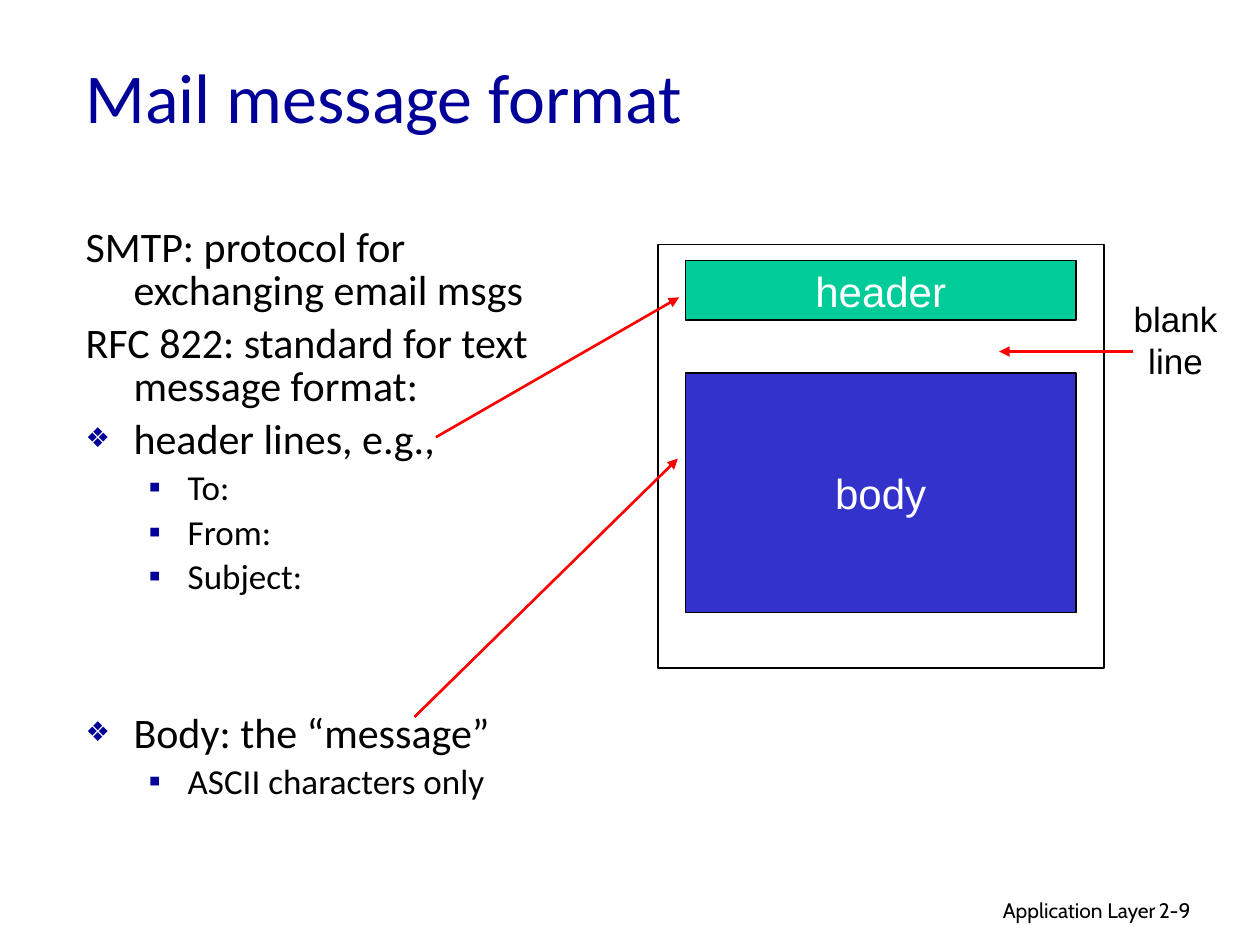
from dataclasses import dataclass

from lxml import etree
from pptx import Presentation
from pptx.dml.color import RGBColor
from pptx.enum.shapes import MSO_CONNECTOR, MSO_SHAPE
from pptx.enum.text import MSO_ANCHOR, MSO_AUTO_SIZE, PP_ALIGN
from pptx.oxml.ns import qn
from pptx.util import Emu, Pt

PX = 9144  # one px is a hundredth of an inch
LEFT, CENTER, RIGHT = PP_ALIGN.LEFT, PP_ALIGN.CENTER, PP_ALIGN.RIGHT
MIDDLE = MSO_ANCHOR.MIDDLE
NO_AUTOFIT, GROW = MSO_AUTO_SIZE.NONE, MSO_AUTO_SIZE.SHAPE_TO_FIT_TEXT
RECTANGLE = MSO_SHAPE.RECTANGLE
STRAIGHT = MSO_CONNECTOR.STRAIGHT


@dataclass(frozen=True)
class Theme:
    text_font: str = "Calibri"
    diagram_font: str = "Arial"
    footer_font: str = "Cabin"
    title_size: int = 40
    main_size: int = 24
    sub_size: int = 20
    footer_size: int = 12
    navy: str = "000099"
    black: str = "000000"
    white: str = "FFFFFF"
    green: str = "00CC99"
    blue: str = "3333CC"
    red: str = "FF0000"


THEME = Theme()

# (text, level, bullet, space before in points)
OUTLINE = [
    ("SMTP: protocol for exchanging email msgs", 0, None, 0),
    ("RFC 822: standard for text message format:", 0, None, 6),
    ("header lines, e.g.,", 0, "❖", 6),
    ("To:", 1, "▪", 5),
    ("From:", 1, "▪", 5),
    ("Subject:", 1, "▪", 5),
    ("Body: the “message”", 0, "❖", 67),
    ("ASCII characters only", 1, "▪", 5),
]


def px(*lengths):
    return [Emu(length * PX) for length in lengths]


def rgb(color):
    return RGBColor.from_string(color)


def style(paragraph, font, size, color, align=LEFT):
    paragraph.alignment = align
    paragraph.font.name = font
    paragraph.font.size = Pt(size)
    paragraph.font.color.rgb = rgb(color)


def place(shape, box):
    shape.left, shape.top, shape.width, shape.height = px(*box)


def set_bullet(paragraph, level, bullet):
    """Give the paragraph its hanging indent and bullet."""
    margin, hang = ((38, 38), (81, 31))[level]
    props = paragraph._p.get_or_add_pPr()
    props.set("marL", str(margin * PX))
    props.set("indent", str(-hang * PX))
    if bullet is None:
        etree.SubElement(props, qn("a:buNone"))
        return
    color = etree.SubElement(props, qn("a:buClr"))
    etree.SubElement(color, qn("a:srgbClr"), val=THEME.navy)
    if level == 0:
        etree.SubElement(props, qn("a:buSzPct"), val="65000")
    etree.SubElement(props, qn("a:buChar"), char=bullet)


def add_title(slide, box):
    title = slide.shapes.title
    place(title, box)
    frame = title.text_frame
    frame.text = "Mail message format"
    frame.auto_size = NO_AUTOFIT
    frame.vertical_anchor = MIDDLE
    style(frame.paragraphs[0], THEME.text_font, THEME.title_size, THEME.navy)


def add_outline(slide, box):
    outline = slide.placeholders[1]
    place(outline, box)
    frame = outline.text_frame
    frame.auto_size = NO_AUTOFIT
    for index, (text, level, bullet, space) in enumerate(OUTLINE):
        paragraph = frame.add_paragraph() if index else frame.paragraphs[0]
        paragraph.text = text
        paragraph.level = level
        set_bullet(paragraph, level, bullet)
        paragraph.line_spacing = 0.85
        paragraph.space_before = Pt(space)
        size = THEME.sub_size if level else THEME.main_size
        style(paragraph, THEME.text_font, size, THEME.black)


def add_label(slide, box, lines, font, size, align=LEFT, wrap=True):
    frame = slide.shapes.add_textbox(*px(*box)).text_frame
    frame.word_wrap = wrap
    frame.auto_size = NO_AUTOFIT if wrap else GROW
    frame.text = "\n".join(lines)
    for paragraph in frame.paragraphs:
        style(paragraph, font, size, THEME.black, align)


def add_block(slide, box, line_width, fill=None, text=None):
    block = slide.shapes.add_shape(RECTANGLE, *px(*box))
    block.shadow.inherit = False
    block.line.color.rgb = rgb(THEME.black)
    block.line.width = Pt(line_width)
    if fill is None:
        block.fill.background()
        return
    block.fill.solid()
    block.fill.fore_color.rgb = rgb(fill)
    frame = block.text_frame
    frame.word_wrap = False
    frame.vertical_anchor = MIDDLE
    frame.text = text
    style(frame.paragraphs[0], THEME.diagram_font, THEME.main_size, THEME.white, CENTER)


def add_arrow(slide, start, end):
    arrow = slide.shapes.add_connector(STRAIGHT, *px(*start, *end))
    arrow.line.color.rgb = rgb(THEME.red)
    arrow.line.width = Pt(1.5)
    etree.SubElement(arrow.line._get_or_add_ln(), qn("a:tailEnd"), type="triangle")
    etree.SubElement(arrow._element.spPr, qn("a:effectLst"))


def add_message_diagram(slide, box):
    left, top, width, height = box
    inner_left, inner_width = left + 22, width - 44
    # Message parts inside the outer frame
    add_block(slide, (inner_left, top + 13, inner_width, 47), 0.75, THEME.green, "header")
    add_block(slide, (inner_left, top + 102, inner_width, 190), 0.75, THEME.blue, "body")
    add_block(slide, box, 1)
    # Arrows from the outline to the message parts
    add_arrow(slide, (left - 176, top + 153), (left + 17, top + 42))
    add_arrow(slide, (left - 193, top + 375), (left + 16, top + 170))
    # Blank line between header and body
    right = left + width
    add_label(slide, (right + 12, top + 37, 90, 77), ("blank", "line"),
              THEME.diagram_font, THEME.sub_size, CENTER, wrap=False)
    add_arrow(slide, (right + 23, top + 85), (right - 83, top + 85))


def add_footer(slide, box):
    left, top, width, height = box
    number_left = left + 300
    add_label(slide, (left, top, 317, height), ("Application Layer",),
              THEME.footer_font, THEME.footer_size, RIGHT)
    add_label(slide, (number_left, top, left + width - number_left, height), ("2-9",),
              THEME.footer_font, THEME.footer_size)


def main():
    deck = Presentation()
    deck.slide_width, deck.slide_height = px(1000, 750)
    slide = deck.slides.add_slide(deck.slide_layouts[1])
    add_footer(slide, (610, 707, 374, 31))
    add_title(slide, (58, 13, 850, 125))
    add_outline(slide, (58, 176, 417, 508))
    add_message_diagram(slide, (522, 194, 354, 336))
    deck.save("out.pptx")


if __name__ == "__main__":
    main()
